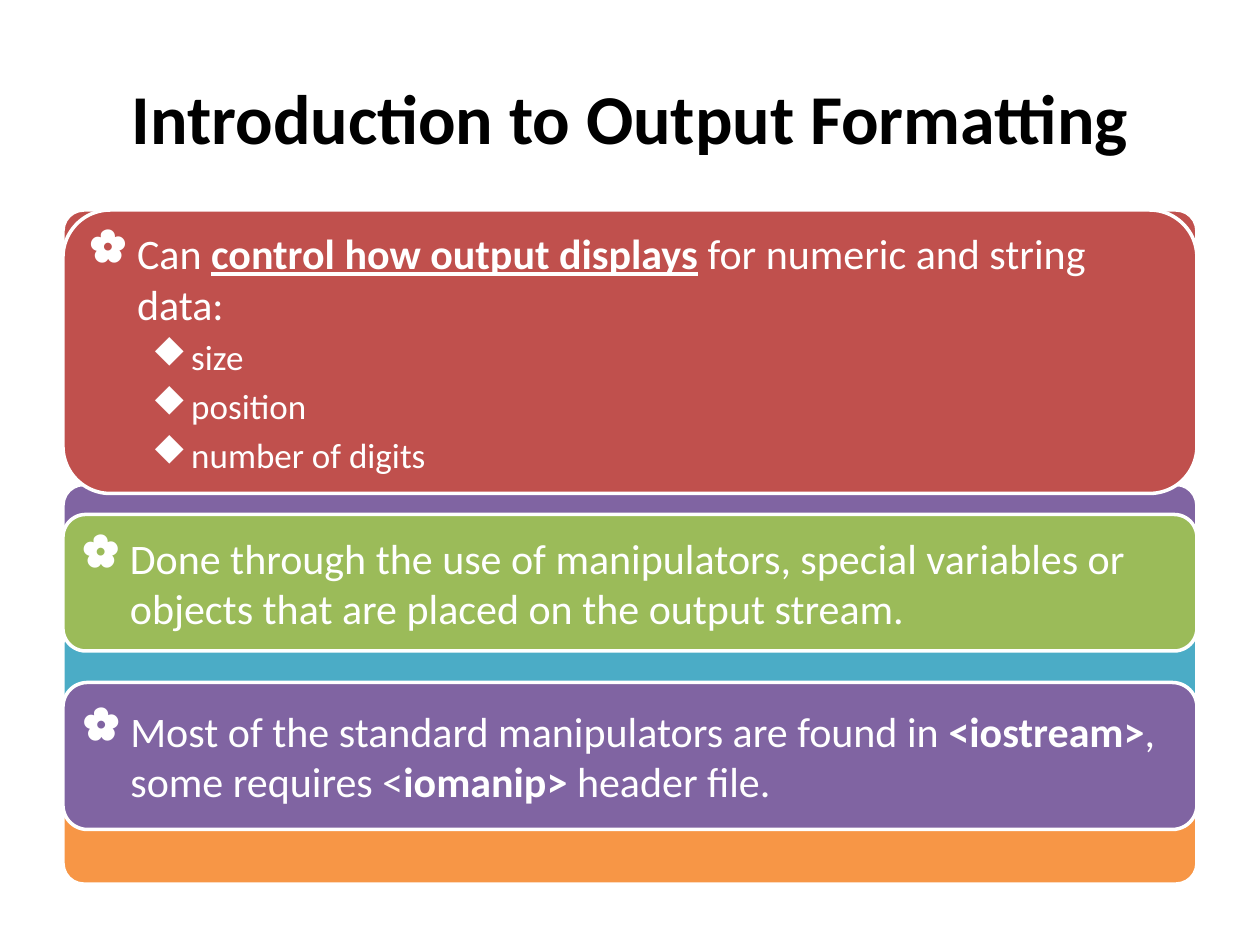
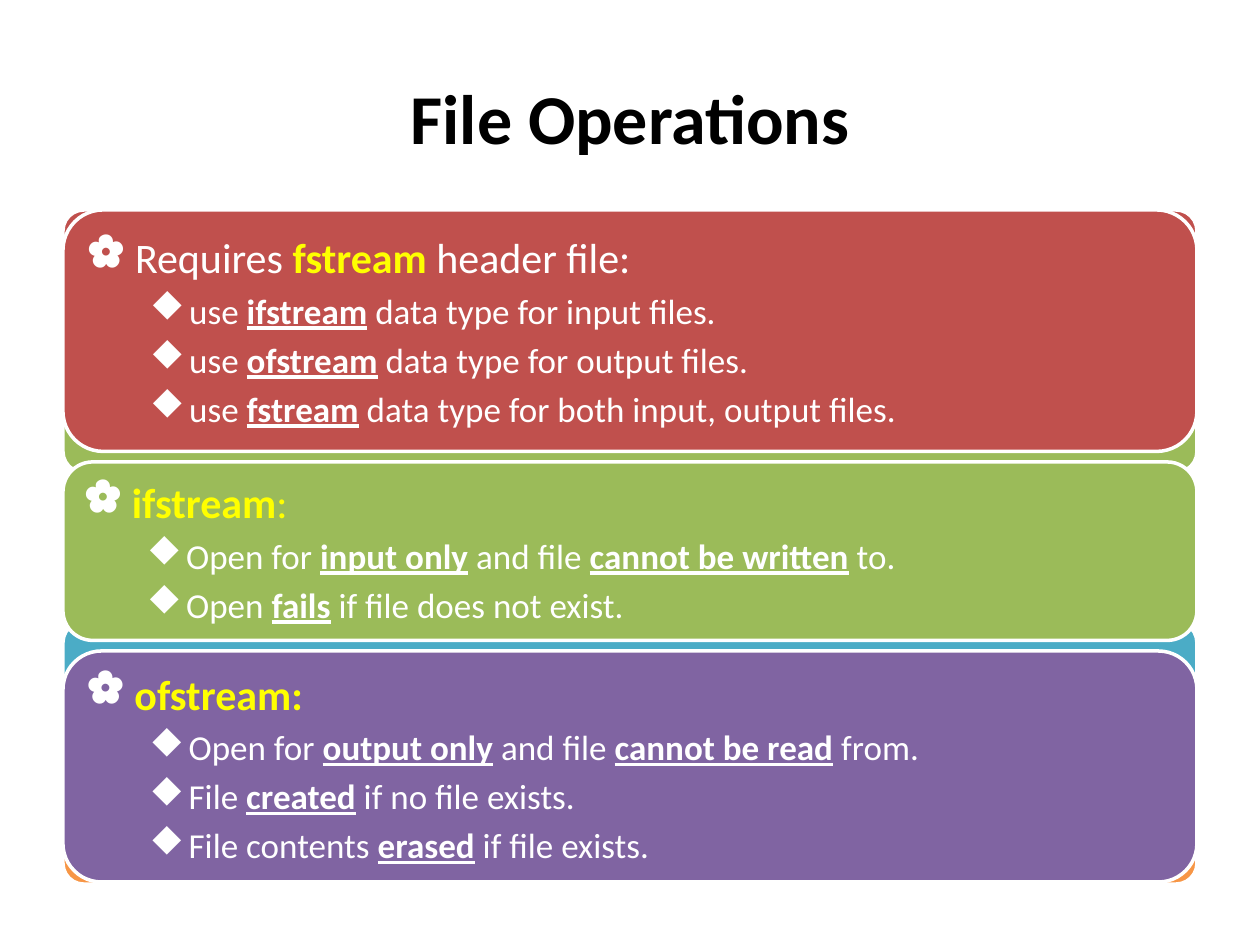
from dataclasses import dataclass
from typing import NamedTuple

from lxml.etree import SubElement
from pptx import Presentation
from pptx.dml.color import RGBColor
from pptx.enum.shapes import MSO_SHAPE as Shape
from pptx.enum.text import MSO_ANCHOR as Anchor, PP_ALIGN as Align
from pptx.oxml.ns import qn
from pptx.util import Inches, Pt

# Grid: 20 columns by 90 rows
SLIDE_WIDTH, SLIDE_HEIGHT = Inches(10), Inches(7.5)
COLUMN, ROW = SLIDE_WIDTH / 20, SLIDE_HEIGHT / 90
LEFT, SPAN = 1, 18
TITLE_TOP, TITLE_ROWS = 3.6, 15
BODY_TOP, BODY_BOTTOM = 20, 84.2
BAND_GAP = 1.15

# Colours and fonts
WHITE = RGBColor(0xFF, 0xFF, 0xFF)
BLACK = RGBColor(0x00, 0x00, 0x00)
YELLOW = RGBColor(0xFF, 0xFF, 0x00)
RED = RGBColor(0xC0, 0x50, 0x4D)
GREEN = RGBColor(0x9B, 0xBB, 0x59)
PURPLE = RGBColor(0x80, 0x64, 0xA2)
TEAL = RGBColor(0x4B, 0xAC, 0xC6)
ORANGE = RGBColor(0xF7, 0x96, 0x46)
BAND_COLOURS = (RED, GREEN, PURPLE, TEAL, ORANGE)
FONT = "Calibri"
BULLET_FONT = "Wingdings"
TITLE_FORMAT = {"name": FONT, "size": Pt(40), "bold": True}
CORNER = 0.167


class Level(NamedTuple):
    bullet: str
    size: int
    margin: float
    hanging: float
    space_before: int


# In the bullet font, "{" draws a flower and "u" a diamond
LEVELS = (Level("{", 24, 0.38, 0.38, 0), Level("u", 20, 0.81, 0.31, 4))


class Run(NamedTuple):
    text: str
    colour: RGBColor = WHITE
    bold: bool = False
    underline: bool = False


def plain(text: str) -> Run:
    return Run(text)


def strong(text: str) -> Run:
    return Run(text, bold=True)


def stressed(text: str) -> Run:
    return Run(text, bold=True, underline=True)


def keyword(text: str) -> Run:
    return Run(text, YELLOW, bold=True)


@dataclass
class Card:
    """A heading with sub-points; top and rows are in grid rows."""
    top: float
    rows: float
    colour: RGBColor
    heading: list[Run]
    points: tuple[list[Run], ...] = ()
    anchor: Anchor = Anchor.MIDDLE


@dataclass
class Page:
    title: str
    cards: tuple[Card, ...]


PAGES = (
    Page("Introduction to Output Formatting", (
        Card(20, 27, RED,
             [plain("Can "), stressed("control how output displays"),
              plain(" for numeric and string data:")],
             ([plain("size")], [plain("position")], [plain("number of digits")])),
        Card(49, 13, GREEN,
             [plain("Done through the use of manipulators, special variables or "
                    "objects that are placed on the output stream.")]),
        Card(65, 14, PURPLE,
             [plain("Most of the standard manipulators are found in "),
              strong("<iostream>"), plain(", some requires <"),
              strong("iomanip>"), plain(" header file.")]),
    )),
    Page("File Operations", (
        Card(20, 23, RED,
             [plain("Requires "), keyword("fstream"), plain(" header file:")],
             tuple([plain("use "), stressed(stream), plain(f" data type for {use} files.")]
                   for stream, use in (("ifstream", "input"), ("ofstream", "output"),
                                       ("fstream", "both input, output")))),
        Card(44, 17, GREEN,
             [keyword("ifstream"), Run(":", YELLOW)],
             ([plain("Open for "), stressed("input only"), plain(" and file "),
               stressed("cannot be written"), plain(" to.")],
              [plain("Open "), stressed("fails"), plain(" if file does not exist.")])),
        Card(62, 22, PURPLE,
             [keyword("ofstream:")],
             ([plain("Open for "), stressed("output only"), plain(" and file "),
               stressed("cannot be read"), plain(" from.")],
              [plain("File "), stressed("created"), plain(" if no file exists.")],
              [plain("File contents "), stressed("erased"), plain(" if file exists.")]),
             Anchor.TOP),
    )),
)


def apply(target, values: dict) -> None:
    for name, value in values.items():
        setattr(target, name, value)


def grid_box(top: float, rows: float) -> dict:
    """Full-width place on the grid."""
    return {"left": round(LEFT * COLUMN), "top": round(top * ROW),
            "width": round(SPAN * COLUMN), "height": round(rows * ROW)}


def add_panel(slide, top: float, rows: float, colour: RGBColor):
    shape = slide.shapes.add_shape(Shape.ROUNDED_RECTANGLE, **grid_box(top, rows))
    shape.adjustments[0] = CORNER
    shape.shadow.inherit = False
    shape.fill.solid()
    shape.fill.fore_color.rgb = colour
    shape.line.color.rgb = WHITE
    shape.line.width = Pt(2)
    return shape


def add_bands(slide) -> None:
    """Equal colour bands behind the cards."""
    count = len(BAND_COLOURS)
    rows = (BODY_BOTTOM - BODY_TOP - BAND_GAP * (count - 1)) / count
    for index, colour in enumerate(BAND_COLOURS):
        add_panel(slide, BODY_TOP + index * (rows + BAND_GAP), rows, colour)


def write_paragraph(paragraph, runs: list[Run], level: Level) -> None:
    properties = paragraph._p.get_or_add_pPr()
    properties.set("marL", str(Inches(level.margin)))
    properties.set("indent", str(-Inches(level.hanging)))
    bullet_colour = SubElement(properties, qn("a:buClr"))
    SubElement(bullet_colour, qn("a:srgbClr"), val=str(WHITE))
    SubElement(properties, qn("a:buFont"), typeface=BULLET_FONT,
               pitchFamily="2", charset="2")
    SubElement(properties, qn("a:buChar"), char=level.bullet)
    apply(paragraph, {"alignment": Align.LEFT, "space_before": Pt(level.space_before)})
    for part in runs:
        run = paragraph.add_run()
        run.text = part.text
        apply(run.font, {"name": FONT, "size": Pt(level.size), "bold": part.bold,
                         "underline": part.underline})
        run.font.color.rgb = part.colour


def add_card(slide, card: Card) -> None:
    frame = add_panel(slide, card.top, card.rows, card.colour).text_frame
    apply(frame, {"word_wrap": True, "vertical_anchor": card.anchor})
    write_paragraph(frame.paragraphs[0], card.heading, LEVELS[0])
    for point in card.points:
        write_paragraph(frame.add_paragraph(), point, LEVELS[1])


def set_title(slide, text: str) -> None:
    title = slide.shapes.title
    apply(title, grid_box(TITLE_TOP, TITLE_ROWS))
    title.text_frame.text = text
    title.text_frame.vertical_anchor = Anchor.MIDDLE
    paragraph = title.text_frame.paragraphs[0]
    paragraph.alignment = Align.CENTER
    font = paragraph.runs[0].font
    apply(font, TITLE_FORMAT)
    font.color.rgb = BLACK


def main() -> None:
    presentation = Presentation()
    apply(presentation, {"slide_width": SLIDE_WIDTH, "slide_height": SLIDE_HEIGHT})
    title_only = presentation.slide_layouts.get_by_name("Title Only")
    for page in PAGES:
        slide = presentation.slides.add_slide(title_only)
        set_title(slide, page.title)
        add_bands(slide)
        for card in page.cards:
            add_card(slide, card)
    presentation.save("out.pptx")


if __name__ == "__main__":
    main()
